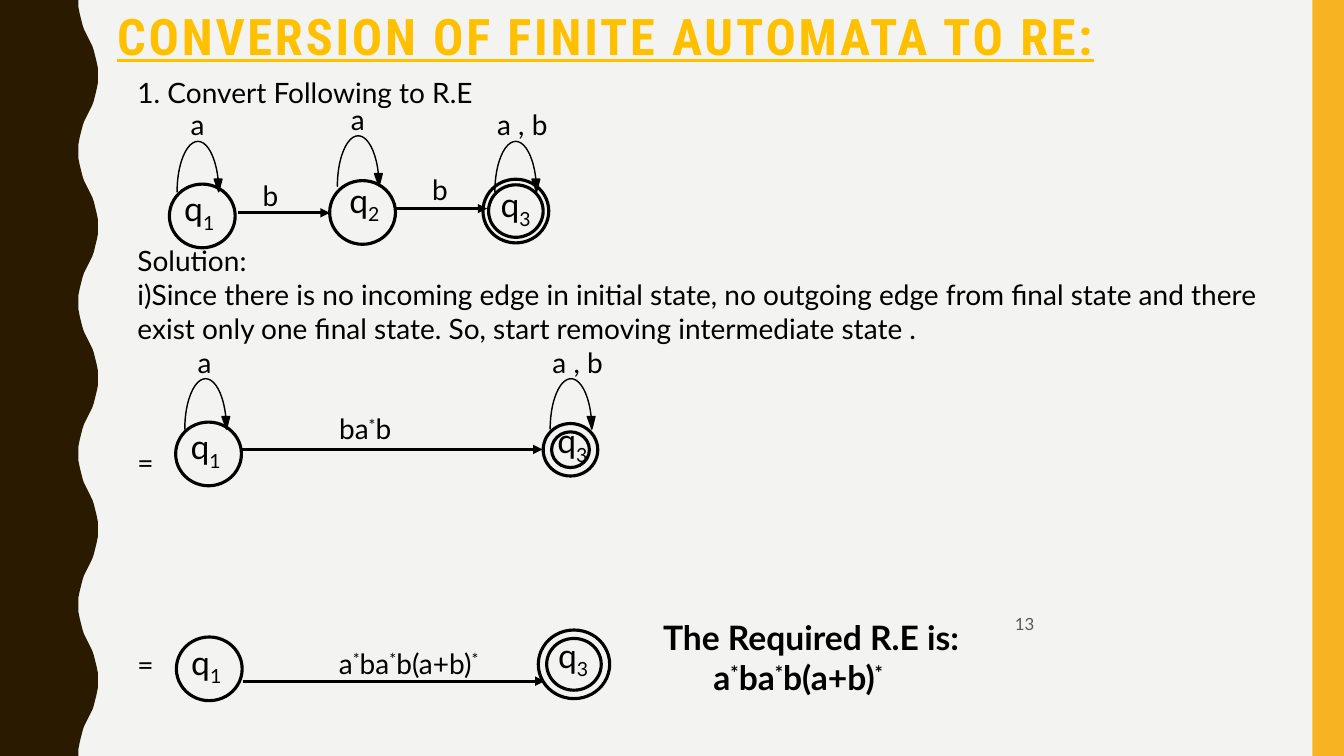
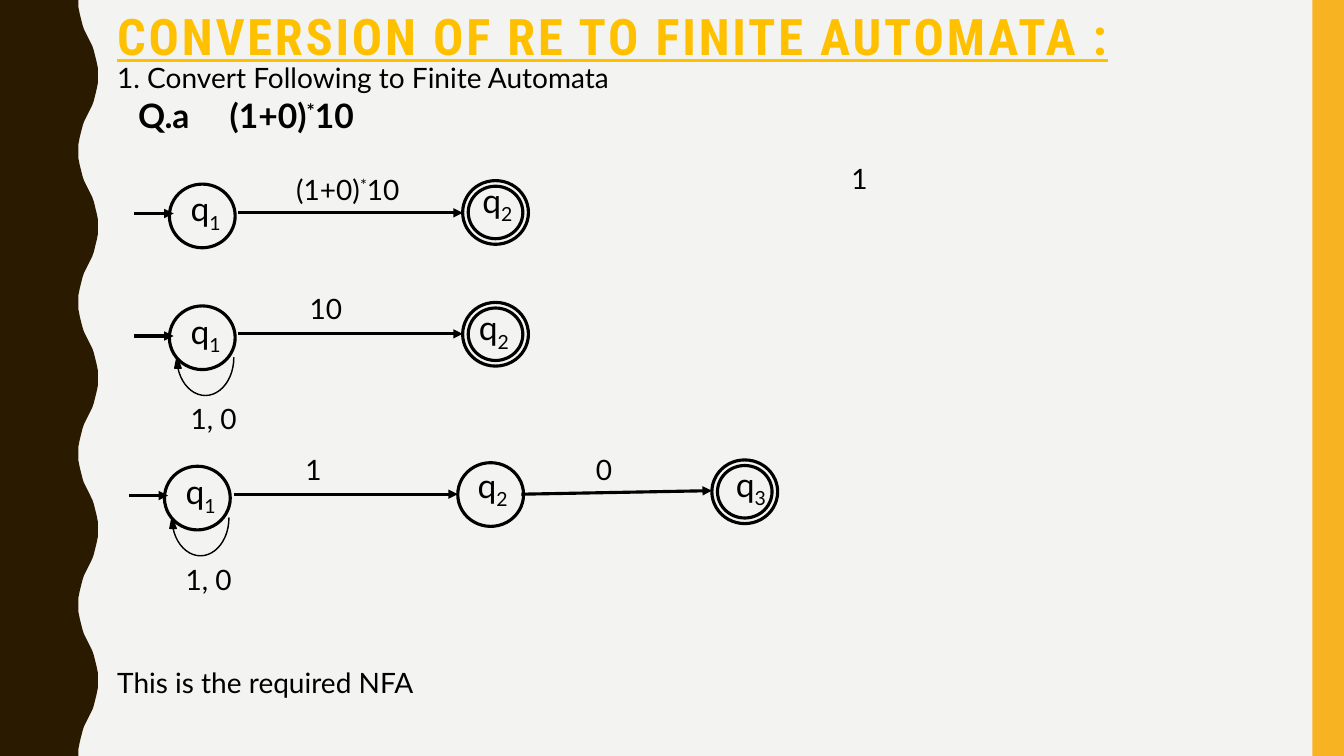
from itertools import groupby

from pptx import Presentation
from pptx.dml.color import RGBColor
from pptx.enum.shapes import MSO_CONNECTOR, MSO_SHAPE
from pptx.enum.text import MSO_ANCHOR, MSO_AUTO_SIZE, PP_ALIGN
from pptx.oxml.ns import qn
from pptx.util import Pt
from lxml import etree

RECT, ELLIPSE = MSO_SHAPE.RECTANGLE, MSO_SHAPE.OVAL
LOOP, STRAIGHT = MSO_SHAPE.CURVED_DOWN_ARROW, MSO_CONNECTOR.STRAIGHT
LEFT, RIGHT = PP_ALIGN.LEFT, PP_ALIGN.RIGHT
TOP, MIDDLE = MSO_ANCHOR.TOP, MSO_ANCHOR.MIDDLE

WIDTH, HEIGHT = 960, 540
PAPER, BROWN, AMBER = "F3F3F2", "2A1A00", "F8B323"
GOLD, BLACK, GREY = "FFC000", "000000", "595959"
HEADING, TEXT = "Roboto Condensed", "Lato"
LINE = 24  # height of one 20 pt text line

# A star is raised; small digits are lowered.
BASELINE = {"*": 30000, "₁": -25000, "₂": -25000, "₃": -25000}
DIGITS = str.maketrans("₁₂₃", "123")

# First quarter of one wave of the side band; the rest follows by symmetry.
QUARTER = [(56, 0), (56, 5), (57, 10), (58, 14), (59, 18), (60, 21), (61.5, 24), (63, 27)]
PERIOD = 108

NORMAL, SMALL, LARGE = (47, 45.5), (39, 37.5), (51, 49)
LOOP_ABOVE, LOOP_BELOW = (32.5, 36, 0), (43, 27, 180)
NARROW, WIDE, BROAD = 57, 93, 130  # label widths

# body: text, lines left free above, indent
# states: name, x, y, label offset x, y, size, ring gap (0 = not final)
# arrows: x1, y1, x2, y2; loops: x, y, form
# labels and callouts: text, x, y, width
SLIDES = [
    dict(
        title="CONVERSION OF FINITE AUTOMATA TO RE:",
        body_at=(91, 50.5),
        body=[
            ("1. Convert Following to R.E", 0, 0),
            ("Solution:", 4, 0),
            ("i)Since there is no incoming edge in initial state, no outgoing edge from "
             "final state and there exist only one final state. So, start removing "
             "intermediate state .", 0, 0),
            ("ba*b", 2, 144),
            ("=", 0, 0),
            ("=", 5, 0),
        ],
        states=[
            ("q₁", 121, 131.5, 3.5, -0.5, NORMAL, 0),
            ("q₂", 235.5, 129, 7, -4, NORMAL, 0),
            ("q₃", 345, 128, 5.5, 0, NORMAL, 4),
            ("q₁", 125.5, 301.5, 3.5, -0.5, NORMAL, 0),
            ("q₃", 388, 302.5, 3, -6, SMALL, 6),
            ("q₁", 126, 455, 3.5, 0, NORMAL, 0),
            ("q₃", 384.5, 450, 7, 0, LARGE, 6),
        ],
        arrows=[(170, 152, 235.5, 152), (282, 149, 348, 149),
                (172, 321, 387.5, 321), (173.5, 486.5, 389, 486.5)],
        loops=[(126.5, 101, LOOP_ABOVE), (241, 97, LOOP_ABOVE), (353.5, 101, LOOP_ABOVE),
               (132, 270.5, LOOP_ABOVE), (393, 270.5, LOOP_ABOVE)],
        labels=[("a", 129, 73.5, NARROW), ("a", 243.5, 70, NARROW),
                ("a , b", 348, 73.5, NARROW), ("b", 180.5, 124, NARROW),
                ("b", 301.5, 120, NARROW), ("a", 134, 243.5, NARROW),
                ("a , b", 387.5, 243.5, NARROW), ("a*ba*b(a+b)*", 235, 458, BROAD)],
        callouts=[("The Required R.E is:", 466.5, 437, 253.5),
                  ("a*ba*b(a+b)*", 502.5, 466, 217.5)],
        number="13",
    ),
    dict(
        title="CONVERSION OF RE TO FINITE AUTOMATA :",
        body_at=(76.5, 39.5),
        body=[
            ("1. Convert Following to Finite Automata", 0, 0),
            ("This is the required NFA", 17, 0),
        ],
        states=[
            ("q₁", 121, 131.5, 8, -0.5, NORMAL, 0),
            ("q₂", 330.5, 129, 7, -4, NORMAL, 4),
            ("q₁", 121, 218.5, 8, 0, NORMAL, 0),
            ("q₂", 330.5, 216, 4.5, 0, NORMAL, 4),
            ("q₁", 117.5, 333, 8, 0, NORMAL, 0),
            ("q₂", 327, 330.5, 7, -2, NORMAL, 0),
            ("q₃", 508.5, 328.5, 10, -1, NORMAL, 4),
        ],
        arrows=[(96, 152.5, 124, 152.5), (170, 152, 330.5, 152),
                (96, 240, 124, 240), (170, 238.5, 330.5, 238.5),
                (92, 354, 120, 354), (167, 353, 327, 353), (372.5, 353, 508.5, 350.5)],
        loops=[(124, 255.5, LOOP_BELOW), (120.5, 370, LOOP_BELOW)],
        labels=[("(1+0)*10", 204.5, 119.5, WIDE), ("1", 601, 111.5, NARROW),
                ("10", 214, 205, WIDE), ("1, 0", 129, 283.5, WIDE),
                ("1", 211, 319.5, WIDE), ("0", 418.5, 319.5, WIDE),
                ("1, 0", 125.5, 398, WIDE)],
        callouts=[("Q.a", 91.5, 64, 65.5), ("(1+0)*10", 157, 64, 188)],
        number=None,
    ),
]


def rgb(color):
    """Turn a hex string into a colour."""
    return RGBColor.from_string(color)


def write(p, text, size=20, font=TEXT, color=BLACK, bold=False, underline=False,
          spacing=0, align=LEFT, before=0, indent=0, line_spacing=1.0):
    """Fill a paragraph, raising stars and lowering small digits."""
    p.alignment, p.line_spacing = align, line_spacing
    p.space_before, p.space_after = Pt(before), Pt(0)
    pPr = p._p.get_or_add_pPr()
    pPr.set("marL", str(Pt(indent)))
    pPr.set("indent", "0")
    etree.SubElement(pPr, qn("a:buNone"))
    for base, chars in groupby(text, lambda c: BASELINE.get(c, 0)):
        r = p.add_run()
        r.text = "".join(chars).translate(DIGITS)
        r.font.size, r.font.name, r.font.bold = Pt(size), font, bold
        r.font.underline = underline
        r.font.color.rgb = rgb(color)
        rPr = r._r.get_or_add_rPr()
        if base:
            rPr.set("baseline", str(base))
        if spacing:
            rPr.set("spc", str(spacing * 100))


def place(sp, x, y, w, h):
    """Move and size a shape, in points."""
    sp.left, sp.top, sp.width, sp.height = Pt(x), Pt(y), Pt(w), Pt(h)


def frame(sp, anchor=TOP):
    """Prepare the text frame of a shape."""
    tf = sp.text_frame
    tf.word_wrap, tf.auto_size, tf.vertical_anchor = True, MSO_AUTO_SIZE.NONE, anchor
    return tf


def add_text(s, text, x, y, w, h, anchor=TOP, **style):
    """Add a text box with one paragraph."""
    tf = frame(s.shapes.add_textbox(Pt(x), Pt(y), Pt(w), Pt(h)), anchor)
    write(tf.paragraphs[0], text, **style)


def paint(sp, fill=None, line=None, weight=1):
    """Set fill and outline of a shape; None means empty."""
    sp.shadow.inherit = False
    if fill:
        sp.fill.solid()
        sp.fill.fore_color.rgb = rgb(fill)
    else:
        sp.fill.background()
    if line:
        sp.line.color.rgb, sp.line.width = rgb(line), Pt(weight)
    else:
        sp.line.fill.background()


def add_shape(s, kind, x, y, w, h, **style):
    """Add a painted preset shape."""
    sp = s.shapes.add_shape(kind, Pt(x), Pt(y), Pt(w), Pt(h))
    paint(sp, **style)
    return sp


def add_state(s, name, x, y, dx, dy, size, ring):
    """Draw a state, with a second circle when it is final."""
    w, h = size
    for gap in {0, ring}:
        add_shape(s, ELLIPSE, x + gap, y + gap, w - 2 * gap, h - 2 * gap,
                  line=BLACK, weight=2.25)
    add_text(s, name, x + dx, y + dy, 45.5, 36, size=24)


def add_arrow(s, x1, y1, x2, y2):
    """Draw a transition between two points."""
    c = s.shapes.add_connector(STRAIGHT, Pt(x1), Pt(y1), Pt(x2), Pt(y2))
    c.line.color.rgb, c.line.width = rgb(BLACK), Pt(2.25)
    etree.SubElement(c.line._get_or_add_ln(), qn("a:tailEnd"), type="triangle")
    etree.SubElement(c._element.spPr, qn("a:effectLst"))


def add_loop(s, x, y, form):
    """Draw a transition from a state to itself."""
    w, h, turn = form
    sp = add_shape(s, LOOP, x, y, w, h, fill=BLACK, line=BLACK)
    sp.rotation = turn
    for i, value in enumerate((0, 0.17, 0.277)):
        sp.adjustments[i] = value


def add_wave(s):
    """Draw the side band with its wavy edge."""
    rise = QUARTER + [(126 - x, 54 - y) for x, y in reversed(QUARTER[:-1])]
    wave = rise + [(x, PERIOD - y) for x, y in reversed(rise[1:-1])]
    edge = [(x, y + top) for top in range(0, HEIGHT, PERIOD) for x, y in wave]
    points = edge + [(56, HEIGHT), (0, HEIGHT)]
    builder = s.shapes.build_freeform(0, 0)
    builder.add_line_segments([(Pt(x), Pt(y)) for x, y in points], close=True)
    sp = builder.convert_to_shape()
    paint(sp, fill=BROWN)
    return sp


def set_up_layout(layout, s):
    """Put background, bands and title place on the layout."""
    layout.background.fill.solid()
    layout.background.fill.fore_color.rgb = rgb(PAPER)
    place(layout.placeholders[0], 76.5, 5, 843, 70.5)
    stripe = add_shape(s, RECT, 937.5, 0, 22.5, HEIGHT, fill=AMBER)
    for sp in (add_wave(s), stripe):
        layout.shapes.element.append(sp.element)


def fill_slide(s, data):
    """Write the texts and draw the automata of one slide."""
    write(frame(s.shapes.title).paragraphs[0], data["title"], size=36, font=HEADING,
          color=GOLD, bold=True, underline=True, spacing=2, line_spacing=0.9)
    body = s.placeholders[1]
    place(body, *data["body_at"], 819.5, 468)
    tf = frame(body)
    for i, (text, free, indent) in enumerate(data["body"]):
        write(tf.add_paragraph() if i else tf.paragraphs[0], text,
              before=free * LINE, indent=indent)
    for state in data["states"]:
        add_state(s, *state)
    for arrow in data["arrows"]:
        add_arrow(s, *arrow)
    for loop in data["loops"]:
        add_loop(s, *loop)
    for label in data["labels"]:
        add_text(s, *label, 31.5)
    for callout in data["callouts"]:
        add_text(s, *callout, 36.5, size=24, bold=True)
    if data["number"]:
        add_text(s, data["number"], 524, 432, 222, 27.5, anchor=MIDDLE,
                 size=12, color=GREY, align=RIGHT)


prs = Presentation()
prs.slide_width, prs.slide_height = Pt(WIDTH), Pt(HEIGHT)
layout = prs.slide_layouts[1]
slides = [prs.slides.add_slide(layout) for _ in SLIDES]
set_up_layout(layout, slides[0])
for s, data in zip(slides, SLIDES):
    fill_slide(s, data)
prs.save("out.pptx")
